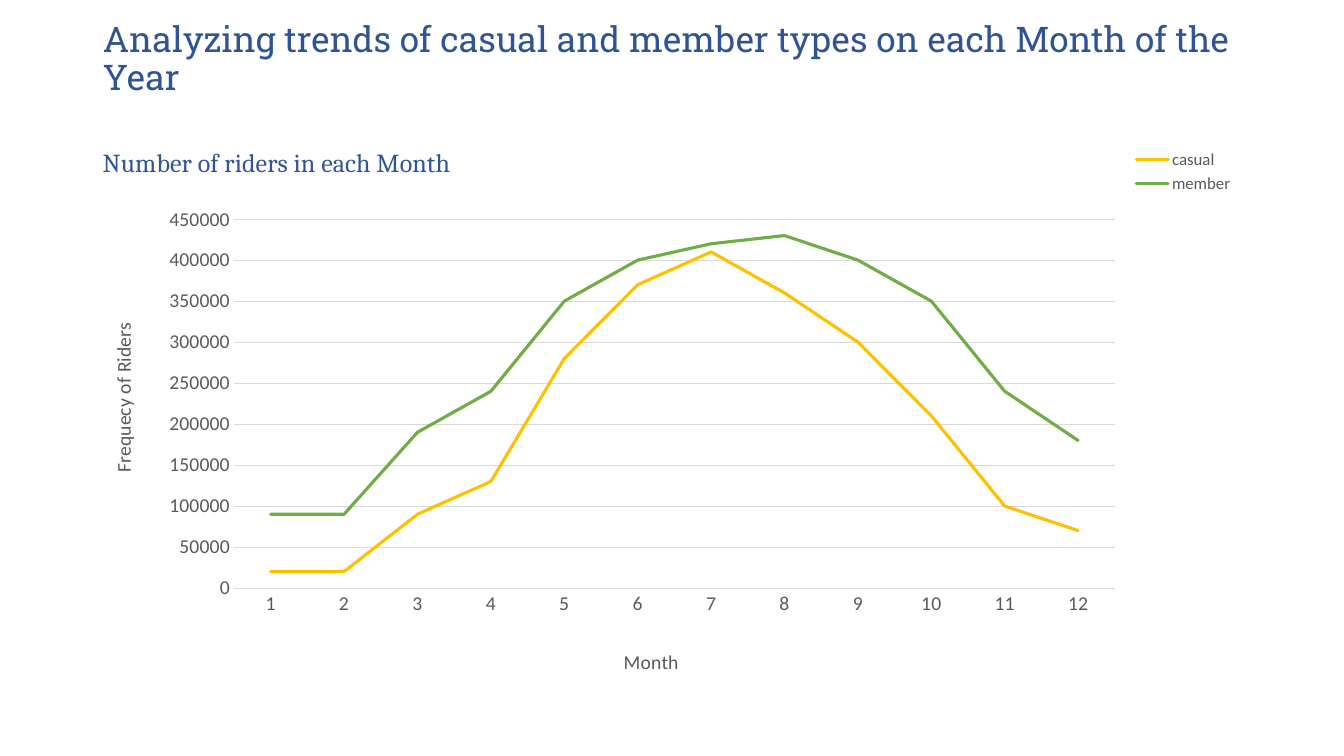
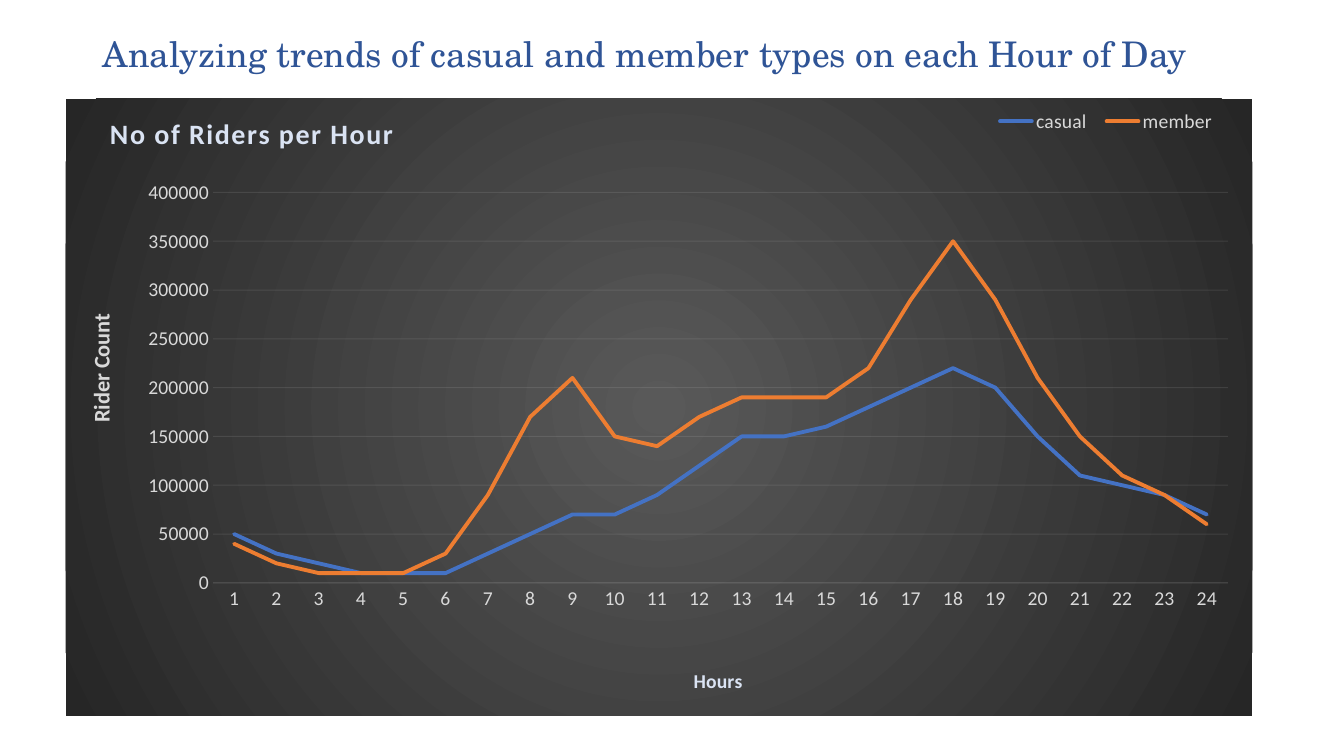
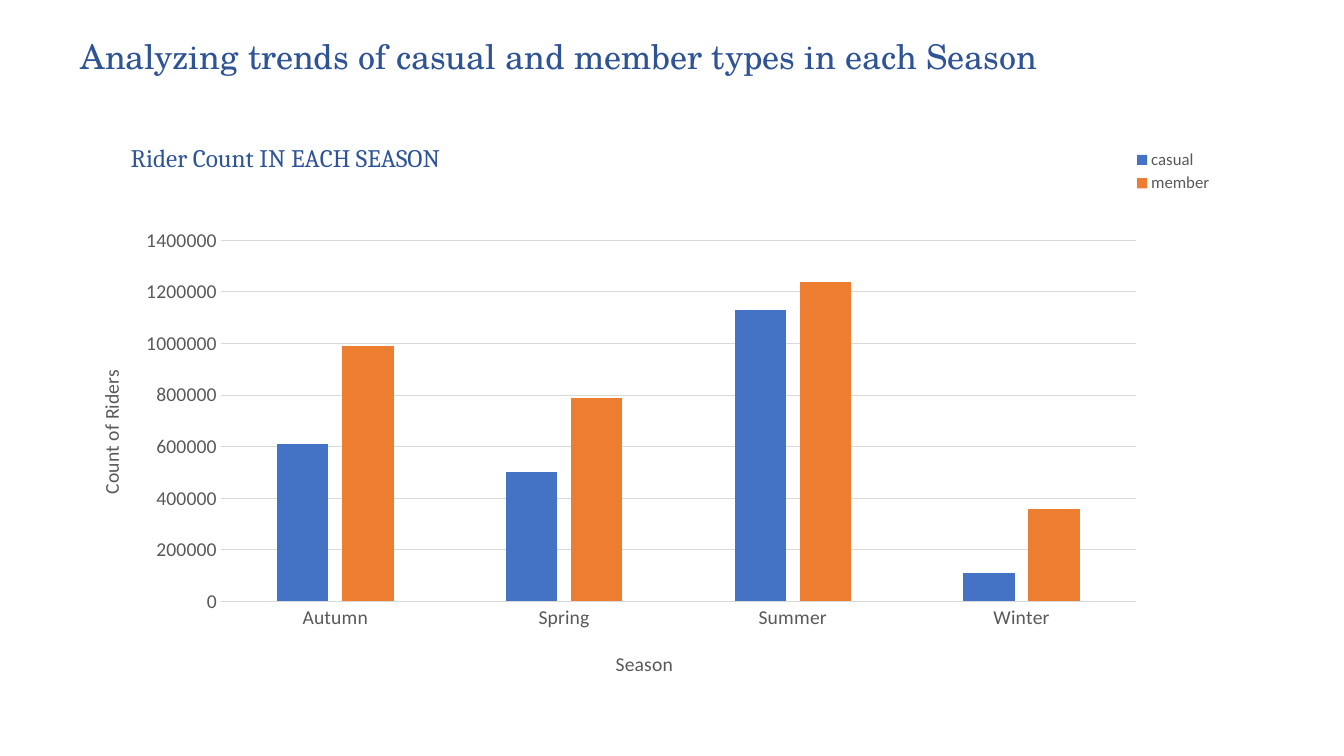
import collections

import lxml.etree
import pptx
import pptx.chart.data
import pptx.dml.color
import pptx.enum.chart
import pptx.enum.text
import pptx.oxml
import pptx.oxml.ns
import pptx.util

RGBColor = pptx.dml.color.RGBColor
Pt = pptx.util.Pt
qn = pptx.oxml.ns.qn
ChartType = pptx.enum.chart.XL_CHART_TYPE
LegendPosition = pptx.enum.chart.XL_LEGEND_POSITION

WIDTH = pptx.util.Inches(13.33)
HEIGHT = pptx.util.Inches(7.5)
COLUMN = WIDTH / 100
ROW = HEIGHT / 100

TITLE_BLUE = RGBColor(0x2F, 0x54, 0x96)
HEADING_BLUE = RGBColor(0x2F, 0x55, 0x97)
PALE_BLUE = RGBColor(0xDA, 0xE3, 0xF3)
DARK_GREY = RGBColor(0x59, 0x59, 0x59)
LIGHT_GREY = RGBColor(0xD9, 0xD9, 0xD9)
OFF_WHITE = RGBColor(0xF2, 0xF2, 0xF2)
CHARCOAL = RGBColor(0x26, 0x26, 0x26)
BLUE = RGBColor(0x44, 0x72, 0xC4)
ORANGE = RGBColor(0xED, 0x7D, 0x31)
GOLD = RGBColor(0xFF, 0xC0, 0x00)
GREEN = RGBColor(0x70, 0xAD, 0x47)

BODY_FONT = "Calibri"
HEADING_FONT = "Cambria"
SLAB_FONT = "Roboto Slab"
SCHOLA_FONT = "TeX Gyre Schola"

Box = collections.namedtuple("Box", "left top width height", defaults=(None, None))
Label = collections.namedtuple(
    "Label", "text box size color font bold spacing",
    defaults=(14, DARK_GREY, BODY_FONT, False, None))
Theme = collections.namedtuple("Theme", "text grid grid_alpha")

LIGHT_THEME = Theme(DARK_GREY, LIGHT_GREY, None)
DARK_THEME = Theme(LIGHT_GREY, OFF_WHITE, 10)


def to_lengths(box):
    return [round(value * unit) for value, unit in zip(box, (COLUMN, ROW, COLUMN, ROW))]


def format_font(font, name, size, color, bold=False):
    font.name = name
    font.size = Pt(size)
    font.bold = bold
    font.color.rgb = color


def add_title_slide(presentation, text, box, font_name, size):
    slide = presentation.slides.add_slide(presentation.slide_layouts[5])
    title = slide.shapes.title
    title.left, title.top, title.width, title.height = to_lengths(box)
    text_frame = title.text_frame
    text_frame.text = text
    text_frame.auto_size = pptx.enum.text.MSO_AUTO_SIZE.NONE
    text_frame.word_wrap = True
    text_frame.vertical_anchor = pptx.enum.text.MSO_ANCHOR.TOP
    text_frame.margin_top = 0
    paragraph = text_frame.paragraphs[0]
    paragraph.alignment = pptx.enum.text.PP_ALIGN.LEFT
    paragraph.line_spacing = 0.9
    format_font(paragraph.runs[0].font, font_name, size, TITLE_BLUE)
    return slide


def place_part(element, frame, box, position=1, inner=False):
    for layout in element.findall(qn("c:layout")):
        element.remove(layout)
    layout = lxml.etree.Element(qn("c:layout"))
    manual = lxml.etree.SubElement(layout, qn("c:manualLayout"))
    settings = [("layoutTarget", "inner")] if inner else []
    settings += [("xMode", "edge"), ("yMode", "edge"),
                 ("x", (box.left - frame.left) / frame.width),
                 ("y", (box.top - frame.top) / frame.height)]
    if box.width is not None:
        settings += [("w", box.width / frame.width), ("h", box.height / frame.height)]
    for name, value in settings:
        lxml.etree.SubElement(manual, qn("c:" + name)).set("val", str(value))
    element.insert(position, layout)


def format_label(owner, title, frame, label):
    text_frame = title.text_frame
    text_frame.text = label.text
    run = text_frame.paragraphs[0].runs[0]
    format_font(run.font, label.font, label.size, label.color, label.bold)
    if label.spacing:
        run.font._element.set("spc", str(label.spacing))
    place_part(owner.find(qn("c:title")), frame, label.box)


def format_line(line, color, width, alpha=None):
    line.color.rgb = color
    line.width = Pt(width)
    if alpha is not None:
        for element in line._ln.iter(qn("a:srgbClr")):
            lxml.etree.SubElement(element, qn("a:alpha")).set("val", str(alpha * 1000))


def format_axis(axis, frame, label, theme):
    axis.major_tick_mark = pptx.enum.chart.XL_TICK_MARK.NONE
    axis.minor_tick_mark = pptx.enum.chart.XL_TICK_MARK.NONE
    format_font(axis.tick_labels.font, BODY_FONT, 14, theme.text)
    format_label(axis._element, axis.axis_title, frame, label)


def add_rider_chart(slide, kind, frame, plot_box, categories, series, heading,
                    category_label, value_label, scale, theme=LIGHT_THEME):
    data = pptx.chart.data.CategoryChartData(number_format="General")
    data.categories = categories
    for name, thousands in series.items():
        data.add_series(name, [value * 1000 for value in thousands])
    chart = slide.shapes.add_chart(kind, *to_lengths(frame), data).chart
    format_font(chart.font, BODY_FONT, 10, theme.text)

    chart.has_title = True
    format_label(chart._chartSpace.chart, chart.chart_title, frame, heading)
    chart.chart_title.include_in_layout = False

    format_axis(chart.category_axis, frame, category_label, theme)
    format_line(chart.category_axis.format.line, theme.grid, 0.75, theme.grid_alpha)

    value_axis = chart.value_axis
    format_axis(value_axis, frame, value_label, theme)
    value_axis.format.line.fill.background()
    value_axis.has_major_gridlines = True
    format_line(value_axis.major_gridlines.format.line, theme.grid, 0.75, theme.grid_alpha)
    value_axis.minimum_scale = 0
    value_axis.maximum_scale, value_axis.major_unit = scale

    place_part(chart._chartSpace.chart.plotArea, frame, plot_box, position=0, inner=True)
    chart.plots[0].vary_by_categories = False
    return chart


def add_legend(chart, frame, box, position, size, color):
    chart.has_legend = True
    legend = chart.legend
    legend.position = position
    legend.include_in_layout = False
    format_font(legend.font, BODY_FONT, size, color)
    place_part(legend._element, frame, box)


def color_lines(chart, colors, width):
    for series, color in zip(chart.plots[0].series, colors):
        series.smooth = False
        series.marker.style = pptx.enum.chart.XL_MARKER_STYLE.NONE
        format_line(series.format.line, color, width)
        series.format.line._ln.set("cap", "rnd")


def color_columns(chart, colors):
    chart.plots[0].gap_width = 219
    chart.plots[0].overlap = -27
    for series, color in zip(chart.plots[0].series, colors):
        series.format.fill.solid()
        series.format.fill.fore_color.rgb = color


def add_radial_background(chart, center, edge):
    properties = pptx.oxml.parse_xml(
        f'<c:spPr {pptx.oxml.ns.nsdecls("c", "a")}><a:gradFill><a:gsLst>'
        f'<a:gs pos="0"><a:srgbClr val="{center}"/></a:gs>'
        f'<a:gs pos="100000"><a:srgbClr val="{edge}"/></a:gs></a:gsLst>'
        '<a:path path="circle"><a:fillToRect l="50000" t="50000" r="50000" b="50000"/></a:path>'
        '</a:gradFill><a:ln><a:noFill/></a:ln></c:spPr>')
    chart._chartSpace.chart.addnext(properties)


def build_month_slide(presentation):
    slide = add_title_slide(
        presentation, "Analyzing trends of casual and member types on each Month of the Year",
        Box(6.9, 2.93, 86.27, 18.4), SLAB_FONT, 25.2)
    frame = Box(6.9, 17.73, 86.27, 72.27)
    riders = {
        "casual": [20, 20, 90, 130, 280, 370, 410, 360, 300, 210, 100, 70],
        "member": [90, 90, 190, 240, 350, 400, 420, 430, 400, 350, 240, 180],
    }
    chart = add_rider_chart(
        slide, ChartType.LINE, frame, Box(17.41, 29.03, 65.55, 48.94),
        [str(month) for month in range(1, 13)], riders,
        Label("Number of riders in each Month", Box(7.29, 18.6), 18.6, HEADING_BLUE, HEADING_FONT),
        Label("Month", Box(46.13, 85.45)),
        Label("Frequecy of Riders", Box(7.89, 42.3)), (450000, 50000))
    add_legend(chart, frame, Box(84.3, 19.3, 7.5, 6.8), LegendPosition.RIGHT, 12, DARK_GREY)
    color_lines(chart, (GOLD, GREEN), 2.25)


def build_hour_slide(presentation):
    slide = add_title_slide(
        presentation, "Analyzing trends of casual and member types on each Hour of Day",
        Box(6.9, 4.9, 86.27, 12.67), SCHOLA_FONT, 25.2)
    frame = Box(4.88, 13.07, 88.3, 81.6)
    riders = {
        "casual": [50, 30, 20, 10, 10, 10, 30, 50, 70, 70, 90, 120,
                   150, 150, 160, 180, 200, 220, 200, 150, 110, 100, 90, 70],
        "member": [40, 20, 10, 10, 10, 30, 90, 170, 210, 150, 140, 170,
                   190, 190, 190, 220, 290, 350, 290, 210, 150, 110, 90, 60],
    }
    chart = add_rider_chart(
        slide, ChartType.LINE, frame, Box(15.85, 25.46, 75.52, 51.65),
        [str(hour) for hour in range(1, 25)], riders,
        Label("No of Riders per Hour", Box(7.81, 14.4), 20, PALE_BLUE, bold=True, spacing=100),
        Label("Hours", Box(51.34, 87.8), 14, PALE_BLUE, bold=True),
        Label("Rider Count", Box(6.1, 41), 16, LIGHT_GREY, bold=True),
        (400000, 50000), DARK_THEME)
    add_legend(chart, frame, Box(73.4, 14.2, 17.8, 3.7), LegendPosition.BOTTOM, 14, LIGHT_GREY)
    color_lines(chart, (BLUE, ORANGE), 2.75)
    add_radial_background(chart, DARK_GREY, CHARCOAL)


def build_season_slide(presentation):
    slide = add_title_slide(
        presentation, "Analyzing trends of casual and member types in each Season",
        Box(5.25, 5.33, 87.92, 13.6), SCHOLA_FONT, 24.3)
    frame = Box(5.25, 16.8, 87.92, 74.93)
    riders = {"casual": [610, 500, 1130, 110], "member": [990, 790, 1240, 360]}
    chart = add_rider_chart(
        slide, ChartType.COLUMN_CLUSTERED, frame, Box(16.44, 31.81, 68.08, 47.75),
        ["Autumn", "Spring", "Summer", "Winter"], riders,
        Label("Rider Count IN EACH SEASON", Box(9.38, 18.1), 18, HEADING_BLUE, HEADING_FONT),
        Label("Season", Box(45.54, 85.58)),
        Label("Count of Riders", Box(7, 48.4)), (1400000, 200000))
    add_legend(chart, frame, Box(84.2, 19.4, 6.2, 6.6), LegendPosition.RIGHT, 12, DARK_GREY)
    color_columns(chart, (BLUE, ORANGE))


def main():
    presentation = pptx.Presentation()
    presentation.slide_width = WIDTH
    presentation.slide_height = HEIGHT
    build_month_slide(presentation)
    build_hour_slide(presentation)
    build_season_slide(presentation)
    presentation.save("out.pptx")


main()
